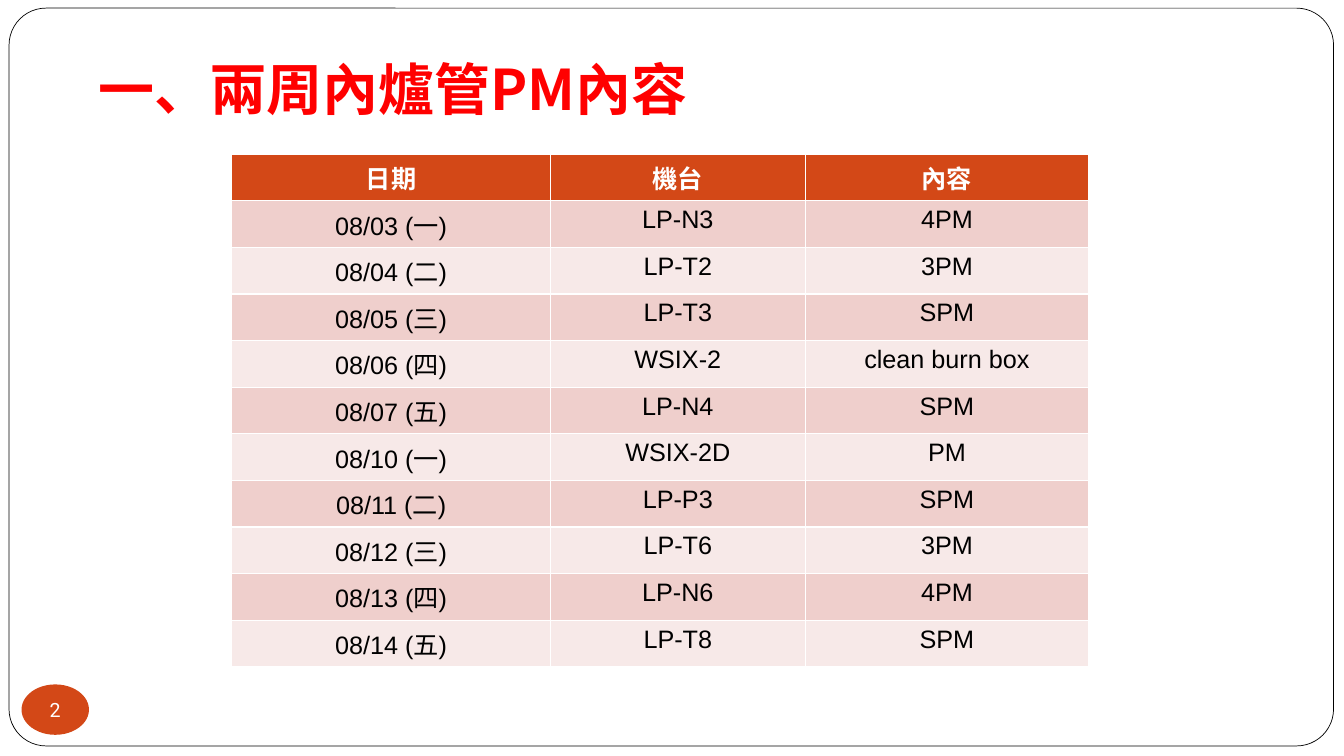
from dataclasses import dataclass

from lxml.etree import SubElement
from pptx import Presentation
from pptx.dml.color import RGBColor
from pptx.enum.shapes import MSO_SHAPE
from pptx.enum.text import MSO_ANCHOR, MSO_AUTO_SIZE, PP_ALIGN
from pptx.oxml.ns import qn
from pptx.slide import Slide
from pptx.text.text import _Paragraph
from pptx.util import Pt


@dataclass(frozen=True)
class TextStyle:
    size: float
    font: str
    color: str
    bold: bool = False


@dataclass(frozen=True)
class Theme:
    white: str = "FFFFFF"
    outline: str = "000000"
    accent: str = "D34817"
    bands: tuple[str, str] = ("EFCFCC", "F7E9E8")
    east_asian_font: str = "Noto Sans CJK SC"
    title: TextStyle = TextStyle(40, "Noto Sans CJK SC", "FF0000", True)
    header: TextStyle = TextStyle(18, "Calibri", "FFFFFF", True)
    entry: TextStyle = TextStyle(18, "Arial", "000000")
    page_number: TextStyle = TextStyle(14, "Roboto", "FFFFFF")


@dataclass(frozen=True)
class Maintenance:
    date: str
    machine: str
    task: str


THEME = Theme()
HEADINGS = Maintenance("日期", "機台", "內容")
SCHEDULE = [
    Maintenance("08/03 (一)", "LP-N3", "4PM"),
    Maintenance("08/04 (二)", "LP-T2", "3PM"),
    Maintenance("08/05 (三)", "LP-T3", "SPM"),
    Maintenance("08/06 (四)", "WSIX-2", "clean burn box"),
    Maintenance("08/07 (五)", "LP-N4", "SPM"),
    Maintenance("08/10 (一)", "WSIX-2D", "PM"),
    Maintenance("08/11 (二)", "LP-P3", "SPM"),
    Maintenance("08/12 (三)", "LP-T6", "3PM"),
    Maintenance("08/13 (四)", "LP-N6", "4PM"),
    Maintenance("08/14 (五)", "LP-T8", "SPM"),
]
COLUMN_WIDTHS = (227.5, 182.2, 202.3)
ROW_HEIGHT = 32.8


def rgb(color: str) -> RGBColor:
    return RGBColor.from_string(color)


def write(paragraph: _Paragraph, text: str, style: TextStyle, align: PP_ALIGN) -> None:
    paragraph.alignment = align
    run = paragraph.add_run()
    run.text = text
    run.font.size = Pt(style.size)
    run.font.name = style.font
    run.font.bold = style.bold
    run.font.color.rgb = rgb(style.color)
    SubElement(run.font._element, qn("a:ea")).set("typeface", THEME.east_asian_font)


def add_title(slide: Slide) -> None:
    title = slide.shapes.title
    title.left, title.top, title.width, title.height = Pt(63.4), Pt(25.9), Pt(815.8), Pt(68.4)
    heading = title.text_frame
    heading.auto_size = MSO_AUTO_SIZE.NONE
    heading.vertical_anchor = MSO_ANCHOR.BOTTOM
    heading.margin_left = heading.margin_right = heading.margin_bottom = Pt(7.2)
    heading.margin_top = Pt(3.6)
    write(heading.paragraphs[0], "一、兩周內爐管PM內容", THEME.title, PP_ALIGN.LEFT)


def add_frame(slide: Slide) -> None:
    frame = slide.shapes.add_shape(
        MSO_SHAPE.ROUNDED_RECTANGLE, Pt(6.5), Pt(5.8), Pt(946.1), Pt(527)
    )
    frame.adjustments[0] = 0.05
    frame.shadow.inherit = False
    frame.fill.solid()
    frame.fill.fore_color.rgb = rgb(THEME.white)
    frame.line.color.rgb = rgb(THEME.outline)
    frame.line.width = Pt(0.5)
    slide.shapes.title.element.addprevious(frame.element)


def add_schedule(slide: Slide) -> None:
    entries = [HEADINGS, *SCHEDULE]
    schedule = slide.shapes.add_table(
        len(entries), len(COLUMN_WIDTHS), Pt(165.6), Pt(110.2),
        Pt(sum(COLUMN_WIDTHS)), Pt(ROW_HEIGHT * len(entries)),
    ).table
    for column, width in zip(schedule.columns, COLUMN_WIDTHS):
        column.width = Pt(width)
    for index, (row, entry) in enumerate(zip(schedule.rows, entries)):
        row.height = Pt(ROW_HEIGHT)
        style = THEME.entry if index else THEME.header
        fill = THEME.bands[(index - 1) % 2] if index else THEME.accent
        for cell, text in zip(row.cells, (entry.date, entry.machine, entry.task)):
            cell.fill.solid()
            cell.fill.fore_color.rgb = rgb(fill)
            write(cell.text_frame.paragraphs[0], text, style, PP_ALIGN.CENTER)


def add_page_number(slide: Slide) -> None:
    badge = slide.shapes.add_shape(MSO_SHAPE.OVAL, Pt(15.4), Pt(488.9), Pt(48.2), Pt(36))
    badge.shadow.inherit = False
    badge.fill.solid()
    badge.fill.fore_color.rgb = rgb(THEME.accent)
    badge.line.fill.background()
    number = badge.text_frame
    number.word_wrap = False
    number.vertical_anchor = MSO_ANCHOR.MIDDLE
    number.margin_left = number.margin_right = number.margin_top = number.margin_bottom = Pt(0)
    write(number.paragraphs[0], "2", THEME.page_number, PP_ALIGN.CENTER)


def main() -> None:
    presentation = Presentation()
    presentation.slide_width, presentation.slide_height = Pt(960), Pt(540)
    slide = presentation.slides.add_slide(presentation.slide_layouts[5])
    add_title(slide)
    add_frame(slide)
    add_schedule(slide)
    add_page_number(slide)
    presentation.save("out.pptx")


if __name__ == "__main__":
    main()
